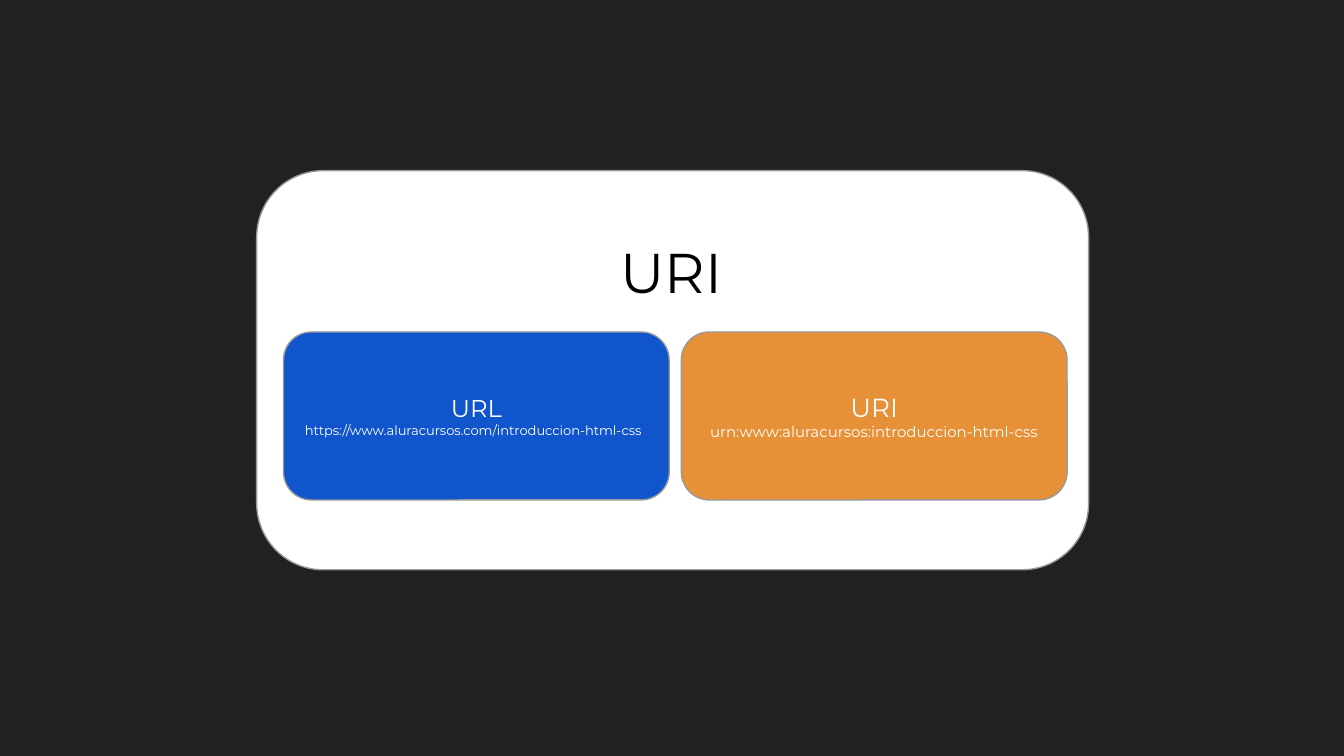
from dataclasses import dataclass

from pptx import Presentation
from pptx.dml.color import RGBColor
from pptx.enum.shapes import MSO_SHAPE
from pptx.enum.text import MSO_ANCHOR, MSO_AUTO_SIZE, PP_ALIGN
from pptx.util import Inches, Pt


@dataclass(frozen=True)
class Theme:
    font: str = "Montserrat"
    background: str = "212121"
    panel: str = "FFFFFF"
    outline: str = "999999"
    title: str = "000000"
    card_text: str = "FFFFFF"
    url_card: str = "1155CC"
    urn_card: str = "E69138"
    title_size: int = 30
    url_sizes: tuple = (13, 7)
    urn_sizes: tuple = (14, 8)


THEME = Theme()
CARD_LEFT, CARD_TOP = 2.11, 2.47
CARD_WIDTH, CARD_HEIGHT = 2.87, 1.25
CARD_GAP = 0.09


def add_rounded_box(slide, left, top, width, height, fill):
    box = slide.shapes.add_shape(
        MSO_SHAPE.ROUNDED_RECTANGLE,
        Inches(left), Inches(top), Inches(width), Inches(height),
    )
    box.shadow.inherit = False
    box.fill.solid()
    box.fill.fore_color.rgb = RGBColor.from_string(fill)
    box.line.color.rgb = RGBColor.from_string(THEME.outline)
    box.line.width = Pt(0.75)
    return box


def set_margins(frame):
    frame.word_wrap = True
    frame.margin_left = frame.margin_right = Inches(0.1)
    frame.margin_top = frame.margin_bottom = Inches(0.1)


def write_line(paragraph, text, size, color, align=PP_ALIGN.CENTER):
    paragraph.alignment = align
    run = paragraph.add_run()
    run.text = text
    run.font.name = THEME.font
    run.font.size = Pt(size)
    run.font.color.rgb = RGBColor.from_string(color)


def add_title(slide, text):
    title = slide.shapes.add_textbox(Inches(3.39), Inches(1.67), Inches(3.21), Inches(0.71))
    frame = title.text_frame
    set_margins(frame)
    frame.auto_size = MSO_AUTO_SIZE.SHAPE_TO_FIT_TEXT
    write_line(frame.paragraphs[0], text, THEME.title_size, THEME.title)


def add_card(slide, column, fill, sizes, heading, example, example_align):
    """Add a card with a heading and an example identifier below it."""
    left = CARD_LEFT + column * (CARD_WIDTH + CARD_GAP)
    card = add_rounded_box(slide, left, CARD_TOP, CARD_WIDTH, CARD_HEIGHT, fill)
    frame = card.text_frame
    set_margins(frame)
    frame.vertical_anchor = MSO_ANCHOR.MIDDLE
    heading_size, example_size = sizes
    write_line(frame.paragraphs[0], heading, heading_size, THEME.card_text)
    write_line(frame.add_paragraph(), example, example_size, THEME.card_text, example_align)


def main():
    presentation = Presentation()
    presentation.slide_width = Inches(10)
    presentation.slide_height = Inches(10) * 9 // 16
    slide = presentation.slides.add_slide(presentation.slide_layouts[6])
    slide.background.fill.solid()
    slide.background.fill.fore_color.rgb = RGBColor.from_string(THEME.background)

    add_rounded_box(slide, 1.91, 1.27, 6.19, 2.97, THEME.panel)
    add_title(slide, "URI")
    cards = [
        (THEME.url_card, THEME.url_sizes, "URL",
         "https://www.aluracursos.com/introduccion-html-css", PP_ALIGN.LEFT),
        (THEME.urn_card, THEME.urn_sizes, "URI",
         "urn:www:aluracursos:introduccion-html-css", PP_ALIGN.CENTER),
    ]
    for column, card in enumerate(cards):
        add_card(slide, column, *card)

    presentation.save("out.pptx")


if __name__ == "__main__":
    main()
